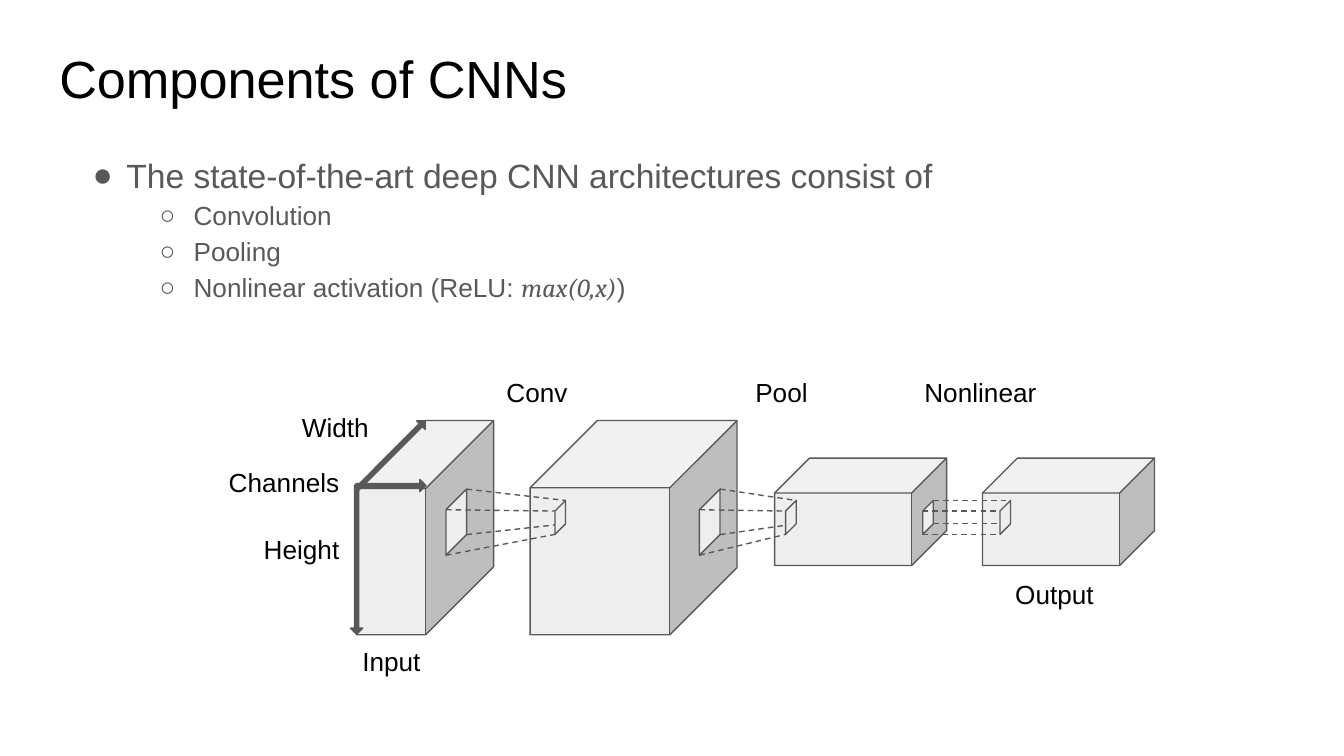
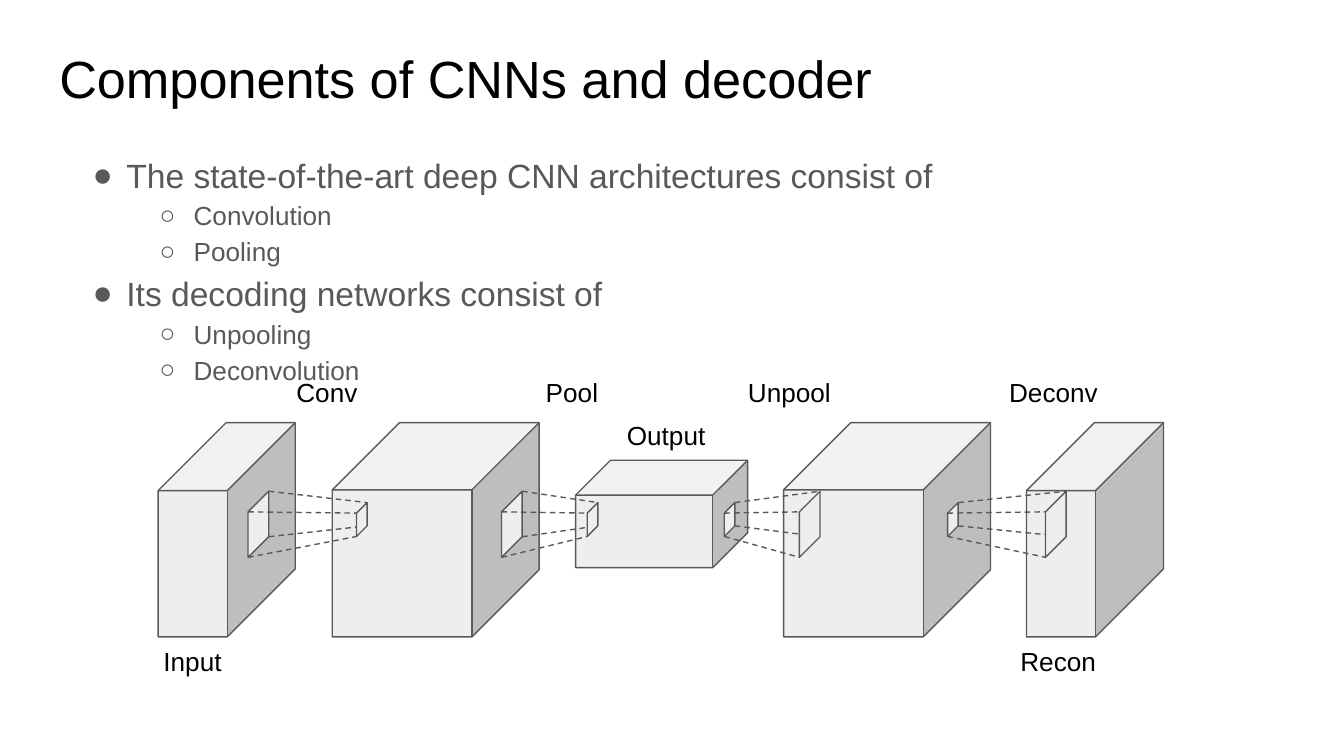
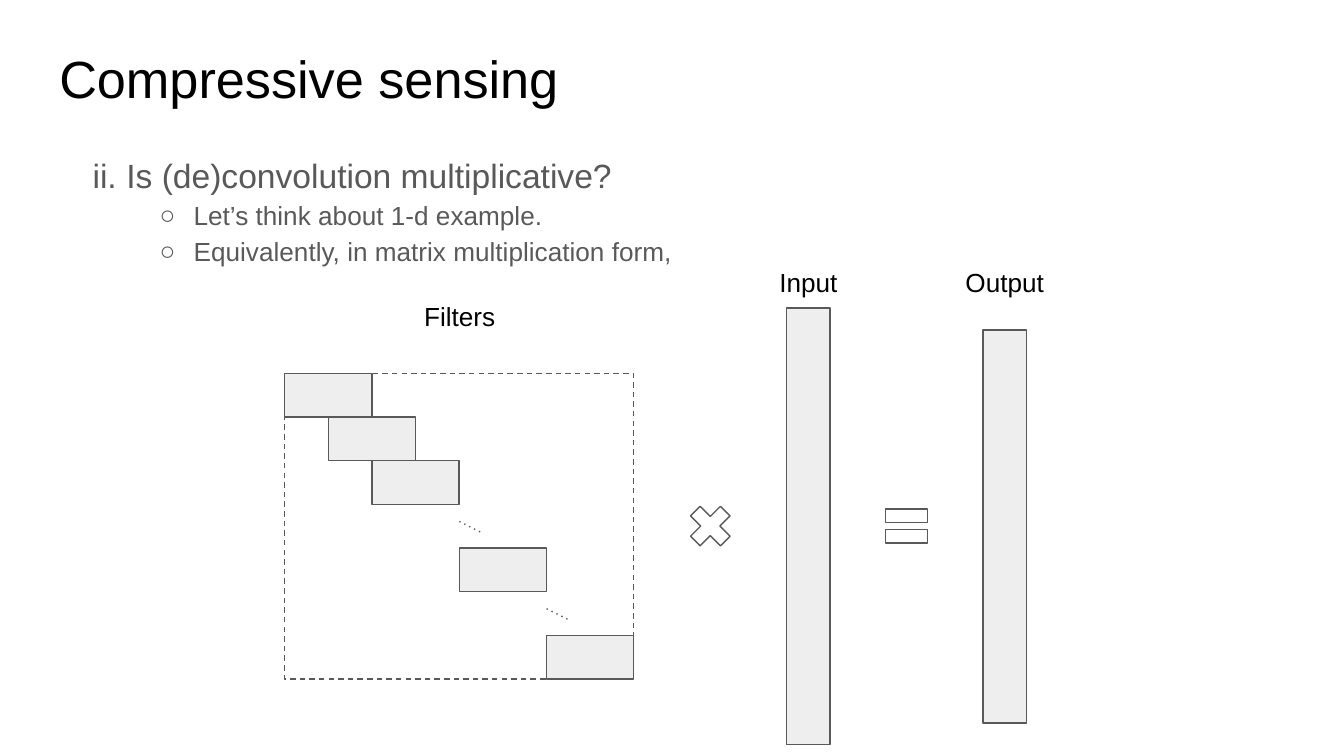
from dataclasses import dataclass

from lxml.etree import SubElement
from pptx import Presentation
from pptx.dml.color import RGBColor
from pptx.enum.shapes import MSO_CONNECTOR, MSO_SHAPE as SHAPE
from pptx.enum.text import MSO_ANCHOR as ANCHOR, MSO_AUTO_SIZE as AUTO, PP_ALIGN as ALIGN
from pptx.oxml.ns import qn
from pptx.util import Cm, Pt


@dataclass(frozen=True)
class Theme:
    """Colours, fonts and type sizes of the deck."""
    ink: RGBColor = RGBColor(0, 0, 0)
    grey: RGBColor = RGBColor(0x59, 0x59, 0x59)
    pale: RGBColor = RGBColor(0xEE, 0xEE, 0xEE)
    font: str = "Arial"
    math_font: str = "Cambria"
    title: int = 28
    levels: tuple = (18, 14)
    label: int = 14
    line: float = 0.75
    margin: float = 0.25


@dataclass(frozen=True)
class Window:
    """Slanted window on a cube's side, from its left edge and centre height."""
    x: float
    y: float
    w: float
    h: float

    def corners(self):
        """Return the four corners, left side first."""
        top, bottom, right = self.y - self.h / 2, self.y + self.h / 2, self.x + self.w
        return ((self.x, top + self.w), (self.x, bottom),
                (right, top), (right, bottom - self.w))


THEME = Theme()
CUBES = {"tall": (2.59, 4.05, 0, 0.496), "wide": (3.91, 4.05, 0, 0.325),
         "flat": (3.25, 2.03, 0.71, 0.325)}
WINDOWS = {"big": (1.92, 0.39, 1.25), "small": (1.83, 0.2, 0.64)}
CNN_TOP, DECODER_TOP = 7.95, 7.99
STAGE_Y, INPUT_Y = 6.96, 12.04


def style_run(r, size, color, font=THEME.font, italic=False):
    """Set the font of one run."""
    r.font.size, r.font.name, r.font.italic = Pt(size), font, italic
    r.font.color.rgb = color


def prepare_frame(tf, anchor=ANCHOR.TOP):
    """Give a text frame the shared margins, wrapping and anchor."""
    tf.auto_size, tf.word_wrap, tf.vertical_anchor = AUTO.NONE, True, anchor
    tf.margin_left = tf.margin_right = tf.margin_top = tf.margin_bottom = Cm(THEME.margin)


def style_line(sp, dash=None):
    """Draw the thin grey line, optionally dashed."""
    sp.line.color.rgb = THEME.grey
    sp.line.width = Pt(THEME.line)
    if dash:
        SubElement(sp._element.spPr.find(qn("a:ln")), qn("a:prstDash"), val=dash)


def add_titled_slide(prs, title):
    """Add a slide with its formatted title."""
    s = prs.slides.add_slide(prs.slide_layouts[5])
    sp = s.shapes.title
    sp.left, sp.top, sp.width, sp.height = Cm(0.87), Cm(0.62), Cm(23.67), Cm(1.59)
    prepare_frame(sp.text_frame)
    sp.text_frame.text = title
    p = sp.text_frame.paragraphs[0]
    p.alignment = ALIGN.LEFT
    style_run(p.runs[0], THEME.title, THEME.ink)
    return s


def set_bullet(p, level, start=None):
    """Indent a paragraph and give it a bullet or a roman number."""
    pPr = p._p.get_or_add_pPr()
    pPr.set("marL", str(Cm(1.27 * (level + 1))))
    pPr.set("indent", str(-Cm(0.64)))
    SubElement(SubElement(pPr, qn("a:buClr")), qn("a:srgbClr"), val=str(THEME.grey))
    SubElement(pPr, qn("a:buFont"), typeface=THEME.font)
    if start:
        SubElement(pPr, qn("a:buAutoNum"), type="romanLcPeriod", startAt=str(start))
    else:
        SubElement(pPr, qn("a:buChar"), char="●○"[level])


def add_bullets(s, items, start=None):
    """Add (level, text) bullets; text between $ signs is set as mathematics."""
    tf = s.shapes.add_textbox(Cm(0.87), Cm(2.56), Cm(23.67), Cm(11.05)).text_frame
    prepare_frame(tf)
    for i, (level, text) in enumerate(items):
        p = tf.add_paragraph() if i else tf.paragraphs[0]
        p.level, p.line_spacing = level, 1.15
        set_bullet(p, level, None if level else start)
        for j, part in enumerate(text.split("$")):
            r = p.add_run()
            r.text = part
            math = j % 2 == 1
            style_run(r, THEME.levels[level], THEME.grey,
                      THEME.math_font if math else THEME.font, math)


def add_label(shapes, text, cx, y, w=2.11, h=0.91):
    """Add a label centred on cx."""
    tf = shapes.add_textbox(Cm(cx - w / 2), Cm(y), Cm(w), Cm(h)).text_frame
    prepare_frame(tf, ANCHOR.MIDDLE)
    tf.text = text
    p = tf.paragraphs[0]
    p.alignment = ALIGN.CENTER
    style_run(p.runs[0], THEME.label, THEME.ink)


def add_outlined(shapes, kind, x, y, w, h, fill=THEME.pale, dash=None):
    """Add a preset shape with the thin grey outline."""
    sp = shapes.add_shape(kind, Cm(x), Cm(y), Cm(w), Cm(h))
    sp.shadow.inherit = False
    if fill is None:
        sp.fill.background()
    else:
        sp.fill.solid()
        sp.fill.fore_color.rgb = fill
    style_line(sp, dash)
    return sp


def add_segment(shapes, start, end, dash):
    """Add a straight broken line between two points."""
    points = [Cm(v) for v in (*start, *end)]
    cxn = shapes.add_connector(MSO_CONNECTOR.STRAIGHT, *points)
    style_line(cxn, dash)
    SubElement(cxn._element.spPr, qn("a:effectLst"))


def add_cube(s, size, x, top):
    """Add a feature map of a named size."""
    w, h, drop, depth = CUBES[size]
    add_outlined(s.shapes, SHAPE.CUBE, x, top + drop, w, h).adjustments[0] = depth


def add_window(shapes, win):
    """Add a window as a turned, flipped parallelogram."""
    cx = win.x + win.w / 2
    sp = add_outlined(shapes, SHAPE.PARALLELOGRAM, cx - win.h / 2, win.y - win.w / 2,
                      win.h, win.w)
    sp.adjustments[0] = 1
    sp.rotation = 90
    sp._element.spPr.find(qn("a:xfrm")).set("flipH", "1")


def add_projection(s, top, source, target):
    """Join two (size, x) windows corner to corner."""
    shapes = s.shapes.add_group_shape().shapes
    first, last = (Window(x, top + WINDOWS[size][0], *WINDOWS[size][1:])
                   for size, x in (source, target))
    add_window(shapes, first)
    for start, end in zip(first.corners(), last.corners()):
        add_segment(shapes, start, end, "dash")
    add_window(shapes, last)


def add_network(s, top, cubes, projections, labels):
    """Add cubes, the projections between them and their labels."""
    for size, x in cubes:
        add_cube(s, size, x, top)
    for source, target in projections:
        add_projection(s, top, source, target)
    for label in labels:
        add_label(s.shapes, *label)


def add_axis_arrow(s, cx, cy, length, angle):
    """Add a thin block arrow turned about its centre."""
    thick = 0.23
    sp = add_outlined(s.shapes, SHAPE.RIGHT_ARROW, cx - length / 2, cy - thick / 2,
                      length, thick, THEME.grey)
    sp.adjustments[0] = 0.345
    sp.rotation = angle


def build_cnn(prs):
    """Slide on the components of CNNs."""
    s = add_titled_slide(prs, "Components of CNNs")
    add_bullets(s, [(0, "The state-of-the-art deep CNN architectures consist of"),
                    (1, "Convolution"), (1, "Pooling"),
                    (1, "Nonlinear activation (ReLU: $max(0,x)$)")])
    add_network(
        s, CNN_TOP,
        [("tall", 6.74), ("wide", 10.02), ("flat", 14.64), ("flat", 18.57)],
        [(("big", 8.43), ("small", 10.49)), (("big", 13.22), ("small", 14.85)),
         (("small", 17.44), ("small", 18.9))],
        [("Input", 7.4, INPUT_Y), ("Conv", 10.15, STAGE_Y), ("Output", 19.93, 10.77),
         ("Pool", 14.77, STAGE_Y), ("Nonlinear", 18.53, STAGE_Y, 2.77),
         ("Width", 6.34, 7.62), ("Height", 5.7, 9.93), ("Channels", 5.37, 8.66, 2.77)])
    for arrow in ((7.39, 9.18, 1.32, 0), (6.74, 10.58, 2.82, 90), (7.39, 8.6, 1.83, 315)):
        add_axis_arrow(s, *arrow)


def build_decoder(prs):
    """Slide on the components of CNNs and their decoder."""
    s = add_titled_slide(prs, "Components of CNNs and decoder")
    add_bullets(s, [(0, "The state-of-the-art deep CNN architectures consist of"),
                    (1, "Convolution"), (1, "Pooling"),
                    (0, "Its decoding networks consist of"),
                    (1, "Unpooling"), (1, "Deconvolution")])
    add_network(
        s, DECODER_TOP,
        [("tall", 2.99), ("wide", 6.28), ("flat", 10.88), ("wide", 14.81), ("tall", 19.4)],
        [(("big", 4.69), ("small", 6.74)), (("big", 9.48), ("small", 11.1)),
         (("small", 13.69), ("big", 15.11)), (("small", 17.91), ("big", 19.76))],
        [("Input", 3.64, INPUT_Y), ("Conv", 6.18, STAGE_Y), ("Pool", 10.81, STAGE_Y),
         ("Recon", 20, INPUT_Y), ("Deconv", 19.91, STAGE_Y, 2.49),
         ("Unpool", 14.92, STAGE_Y), ("Output", 12.59, 7.77)])


def build_sensing(prs):
    """Slide on convolution as a matrix product."""
    s = add_titled_slide(prs, "Compressive sensing")
    add_bullets(s, [(0, "Is (de)convolution multiplicative?"),
                    (1, "Let’s think about 1-d example."),
                    (1, "Equivalently, in matrix multiplication form,")], start=2)
    shapes = s.shapes.add_group_shape().shapes
    for text, cx, y, w in (("Filters", 8.69, 5.41, 1.88), ("Input", 15.28, 4.78, 1.65),
                           ("Output", 18.99, 4.78, 2.06)):
        add_label(shapes, text, cx, y, w, 1.12)
    left, top, side = 5.38, 7.06, 6.6
    cell = side / 8
    add_outlined(shapes, SHAPE.RECTANGLE, 14.86, 5.82, cell, 10 * cell)
    add_outlined(shapes, SHAPE.RECTANGLE, 18.58, 6.24, cell, 9 * cell)
    add_outlined(shapes, SHAPE.RECTANGLE, left, top, side, 7 * cell, None, "dash")
    for step in (0, 1, 2, 4, 6):
        add_outlined(shapes, SHAPE.RECTANGLE, left + step * cell, top + step * cell,
                     2 * cell, cell)
    for step in (3, 5):
        x, y = left + (step + 1) * cell, top + (step + 0.39) * cell
        add_segment(shapes, (x, y), (x + cell / 2, y + cell / 4), "dot")
    for kind, x in ((SHAPE.MATH_MULTIPLY, 12.88), (SHAPE.MATH_EQUAL, 16.59)):
        add_outlined(shapes, kind, x, 9.4, 1.09, 1.09, None)


def main():
    """Build and save the deck."""
    prs = Presentation()
    prs.slide_width, prs.slide_height = Cm(25.4), Cm(14.29)
    for build in (build_cnn, build_decoder, build_sensing):
        build(prs)
    prs.save("out.pptx")


if __name__ == "__main__":
    main()
